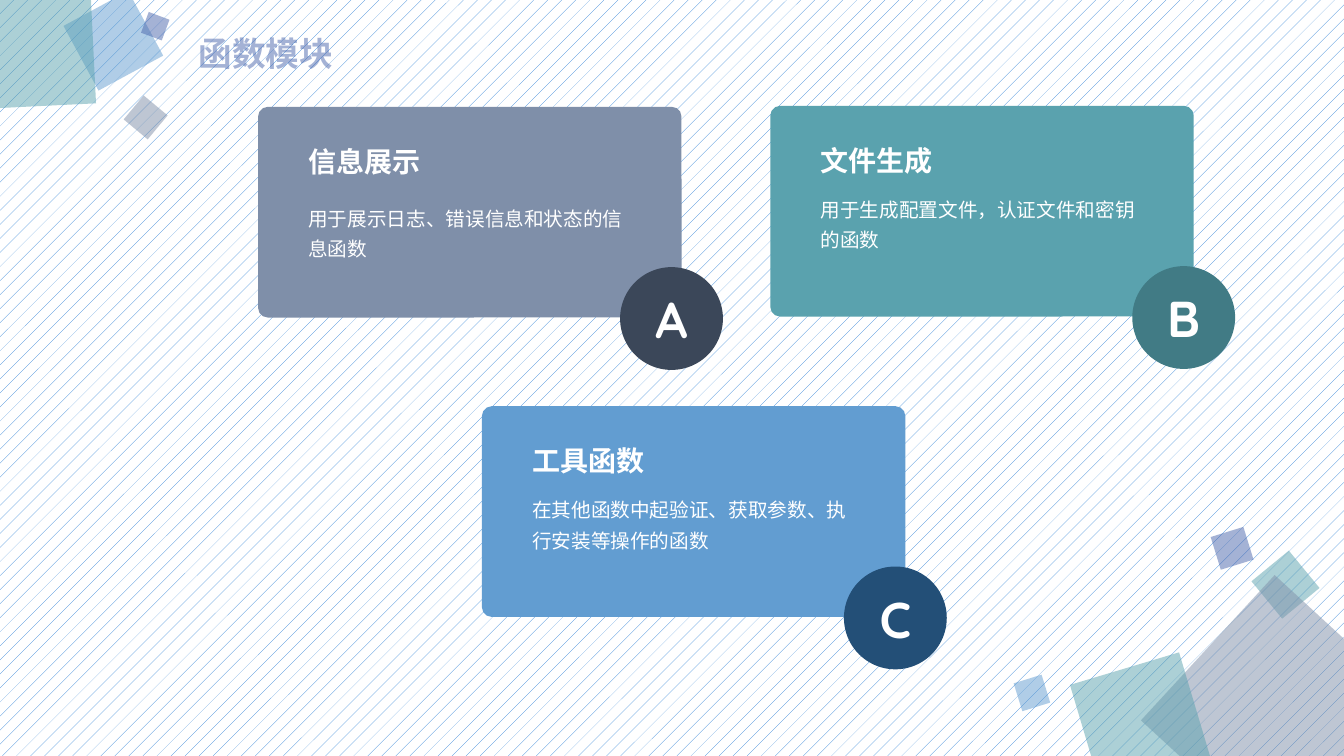
from pptx import Presentation
from pptx.dml.color import RGBColor as RGB
from pptx.enum.dml import MSO_PATTERN as Pattern
from pptx.enum.shapes import MSO_SHAPE as Kind
from pptx.enum.text import MSO_ANCHOR as Anchor, MSO_AUTO_SIZE as Fit, PP_ALIGN as Align
from pptx.oxml.ns import qn
from pptx.util import Inches, Pt
from lxml.etree import SubElement

HUES = {"blue": "629DD1", "navy": "234F77", "teal": "5AA2AE", "pine": "417B85",
        "slate": "7F8FA9", "ink": "3B4759", "indigo": "4A66AC",
        "white": "FFFFFF", "line": "297FD5"}
SANS, ROUND = "Noto Sans CJK SC", "Quicksand"


def put_text(shape, text, size, font=SANS, hue="white", bold=False,
             align=Align.LEFT, anchor=Anchor.TOP, space=1.0, before=0,
             wrap=True, fit=Fit.NONE):
    """Write one formatted paragraph into a shape and return its run."""
    frame = shape.text_frame
    frame.word_wrap, frame.auto_size = wrap, fit
    frame.vertical_anchor = anchor
    para = frame.paragraphs[0]
    para.alignment, para.line_spacing = align, space
    para.space_before = Pt(before)
    run = para.add_run()
    run.text = text
    run.font.size, run.font.bold, run.font.name = Pt(size), bold, font
    run.font.color.rgb = RGB.from_string(HUES[hue])
    SubElement(run.font._element, qn("a:ea"), typeface=SANS)
    return run


def add_block(kind, x, y, wide, high, hue):
    """Add a plain filled shape without line or shadow."""
    shape = slide.shapes.add_shape(kind, Inches(x), Inches(y), Inches(wide), Inches(high))
    shape.shadow.inherit = False
    shape.fill.solid()
    shape.fill.fore_color.rgb = RGB.from_string(HUES[hue])
    shape.line.fill.background()
    return shape


deck = Presentation()
deck.slide_width, deck.slide_height = Inches(13.33), Inches(7.5)
slide = deck.slides.add_slide(deck.slide_layouts[5])

back = slide.background.fill
back.patterned()
back.pattern = Pattern.PERCENT_5
back.fore_color.rgb = RGB.from_string(HUES["line"])
back.back_color.rgb = RGB.from_string(HUES["white"])

# Half-transparent corner squares: left, top, side, turn, hue
squares = [
    (12.51, 5.56, 0.48, 320.6, "teal"),
    (11.72, 6.11, 1.96, 42.6, "slate"),
    (10.75, 6.61, 1.13, 343.4, "teal"),
    (10.09, 6.73, 0.29, 342.8, "blue"),
    (12.05, 5.27, 0.34, 342.8, "indigo"),
    (0.76, 0.04, 0.73, 331.6, "blue"),
    (-0.46, -0.32, 1.38, 357.2, "teal"),
    (1.29, 1.01, 0.31, 309.8, "slate"),
    (1.43, 0.15, 0.22, 290.5, "indigo"),
]
sheer = []
for x, y, side, turn, hue in squares:
    square = add_block(Kind.RECTANGLE, x, y, side, side, hue)
    square.rotation = turn
    sheer.append(square._element.spPr)

title = slide.shapes.title
title.left, title.top = Inches(1.87), Inches(0.26)
title.width, title.height = Inches(6.13), Inches(0.58)
run = put_text(title, "函数模块", 24, hue="indigo", bold=True,
               anchor=Anchor.MIDDLE, space=0.9, before=10)
sheer.append(run.font._element)

for part in sheer:
    tint = part.find(qn("a:solidFill")).find(qn("a:srgbClr"))
    SubElement(tint, qn("a:alpha"), val="50000")

# Cards: left, top, gap to body, hue, badge hue, letter, heading, body
cards = [
    (2.56, 1.06, 0.87, "slate", "ink", "A", "信息展示",
     "用于展示日志、错误信息和状态的信息函数"),
    (7.64, 1.05, 0.79, "teal", "pine", "B", "文件生成",
     "用于生成配置文件，认证文件和密钥的函数"),
    (4.78, 4.03, 0.79, "blue", "navy", "C", "工具函数",
     "在其他函数中起验证、获取参数、执行安装等操作的函数"),
]
for x, y, gap, hue, dark, letter, head, body in cards:
    card = add_block(Kind.ROUNDED_RECTANGLE, x, y, 4.2, 2.09, hue)
    card.adjustments[0] = 0.046
    badge = add_block(Kind.OVAL, x + 3.59, y + 1.59, 1.02, 1.02, dark)
    put_text(badge, letter, 36, font=ROUND, bold=True,
             align=Align.CENTER, anchor=Anchor.MIDDLE)
    note = slide.shapes.add_textbox(Inches(x + 0.4), Inches(y + gap), Inches(3.47), Inches(0.71))
    put_text(note, body, 14, space=1.3, fit=Fit.SHAPE_TO_FIT_TEXT)
    label = slide.shapes.add_textbox(Inches(x + 0.4), Inches(y + 0.22), Inches(1.31), Inches(0.54))
    put_text(label, head, 20, font=ROUND, bold=True, space=1.3,
             wrap=False, fit=Fit.SHAPE_TO_FIT_TEXT)

deck.save("out.pptx")
